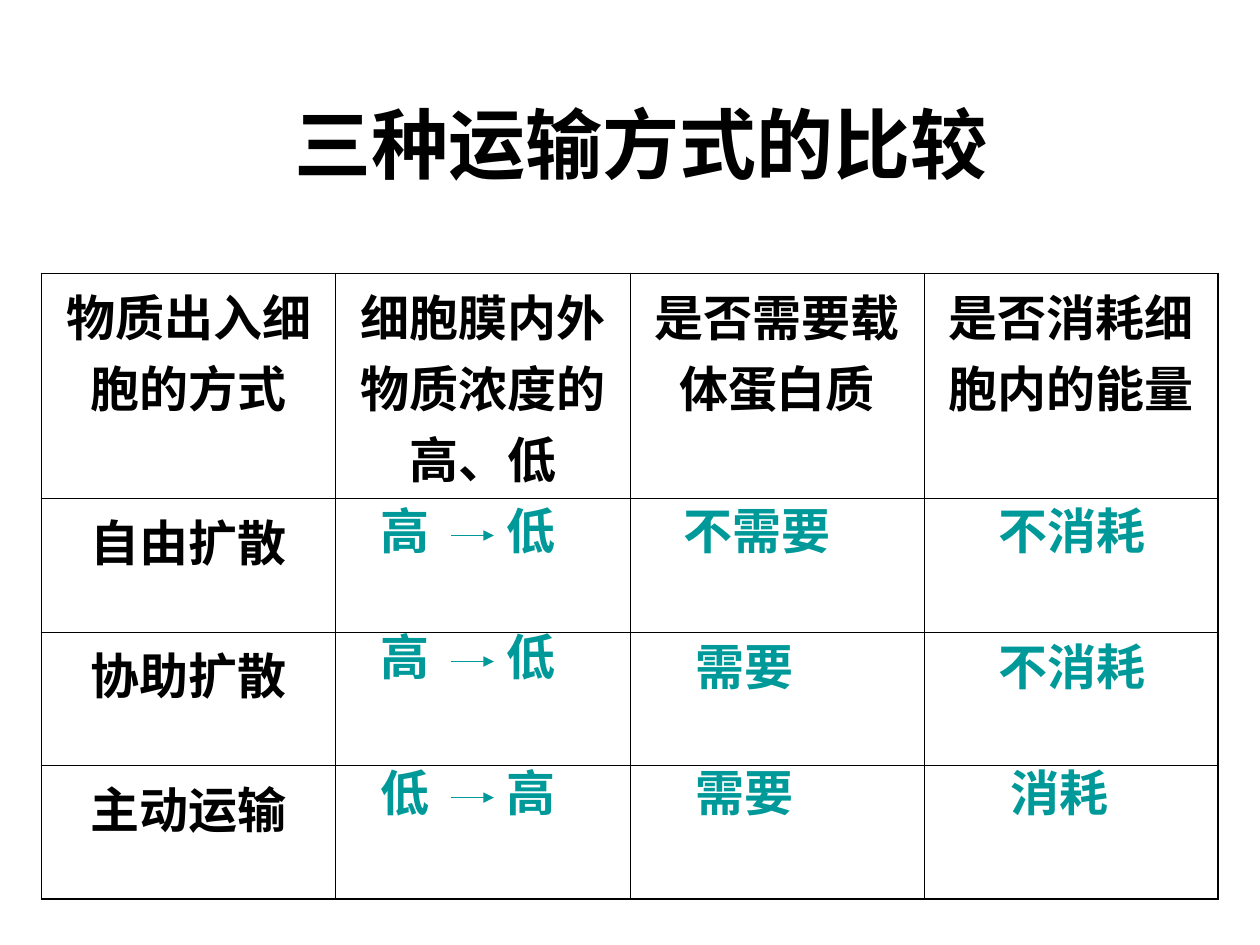
from lxml import etree
from pptx import Presentation
from pptx import util as u
from pptx.dml.color import RGBColor
from pptx.enum import shapes, text
from pptx.oxml import ns

COLORS = {"ink": "000000", "answer": "009999"}
THIN, THICK = u.Pt(0.45), u.Pt(1.08)


def style(para, size, name, color):
    para.font.size = u.Pt(size)
    para.font.name = name
    para.font.bold = True
    para.font.color.rgb = RGBColor.from_string(COLORS[color])


def add_answer(parent, words, left, top, width):
    box = parent.add_textbox(u.Inches(left), u.Inches(top), u.Inches(width), u.Inches(0.57))
    frame = box.text_frame
    frame.word_wrap = True
    frame.auto_size = text.MSO_AUTO_SIZE.SHAPE_TO_FIT_TEXT
    para = frame.paragraphs[0]
    para.text = words
    style(para, 28, "Times New Roman", "answer")


deck = Presentation()
deck.slide_width, deck.slide_height = u.Inches(10), u.Inches(7.5)
page = deck.slides.add_slide(deck.slide_layouts[5])

title = page.shapes.title
title.left, title.top = u.Inches(0.83), u.Inches(0.33)
title.width, title.height = u.Inches(8.52), u.Inches(1.6)
title.text_frame.text = "三种运输方式的比较"
title.text_frame.vertical_anchor = text.MSO_ANCHOR.MIDDLE
para = title.text_frame.paragraphs[0]
para.alignment = text.PP_ALIGN.CENTER
style(para, 44, "Arial", "ink")

headers = ["物质出入细胞的方式", "细胞膜内外物质浓度的高、低", "是否需要载体蛋白质", "是否消耗细胞内的能量"]
methods = ["自由扩散", "协助扩散", "主动运输"]
rows, cols = len(methods) + 1, len(headers)
table = page.shapes.add_table(
    rows, cols, u.Inches(0.33), u.Inches(2.17), u.Inches(9.34), u.Inches(4.68)
).table
table.first_row = table.horz_banding = False
for row, height in zip(table.rows, [1.5, 1.06, 1.06, 1.06]):
    row.height = u.Inches(height)

for r in range(rows):
    for c in range(cols):
        cell = table.cell(r, c)
        cell.fill.background()
        edges = {"lnL": c == 0, "lnR": c == cols - 1, "lnT": r == 0, "lnB": r == rows - 1}
        properties = cell._tc.get_or_add_tcPr()
        for place, (tag, outer) in enumerate(edges.items()):
            border = etree.Element(ns.qn(f"a:{tag}"), w=str(THICK if outer else THIN))
            fill = etree.SubElement(border, ns.qn("a:solidFill"))
            etree.SubElement(fill, ns.qn("a:srgbClr"), val=COLORS["ink"])
            properties.insert(place, border)
        if r == 0 or c == 0:
            para = cell.text_frame.paragraphs[0]
            para.text = headers[c] if r == 0 else methods[r - 1]
            para.alignment = text.PP_ALIGN.CENTER
            style(para, 28, "Arial", "ink")

for words, top in [("高　\t低", 3.92), ("高　\t低", 4.92), ("低　\t高", 6)]:
    group = page.shapes.add_group_shape()
    add_answer(group.shapes, words, 2.92, top, 1.67)
    level = u.Inches(top + 0.33)
    arrow = group.shapes.add_connector(
        shapes.MSO_CONNECTOR.STRAIGHT, u.Inches(3.58), level, u.Inches(3.92), level
    )
    arrow.line.width = u.Pt(1)
    arrow.line.color.rgb = RGBColor.from_string(COLORS["answer"])
    etree.SubElement(arrow.line._get_or_add_ln(), ns.qn("a:tailEnd"), type="triangle")
    etree.SubElement(arrow._element.spPr, ns.qn("a:effectLst"))

answers = [
    ("不需要", 5.33, 3.92, 1.58),
    ("需要", 5.42, 5, 1.58),
    ("需要", 5.42, 6, 1.58),
    ("不消耗", 7.83, 3.92, 1.42),
    ("不消耗", 7.83, 5, 1.42),
    ("消耗", 7.92, 6, 1.17),
]
for answer in answers:
    add_answer(page.shapes, *answer)

deck.save("out.pptx")
